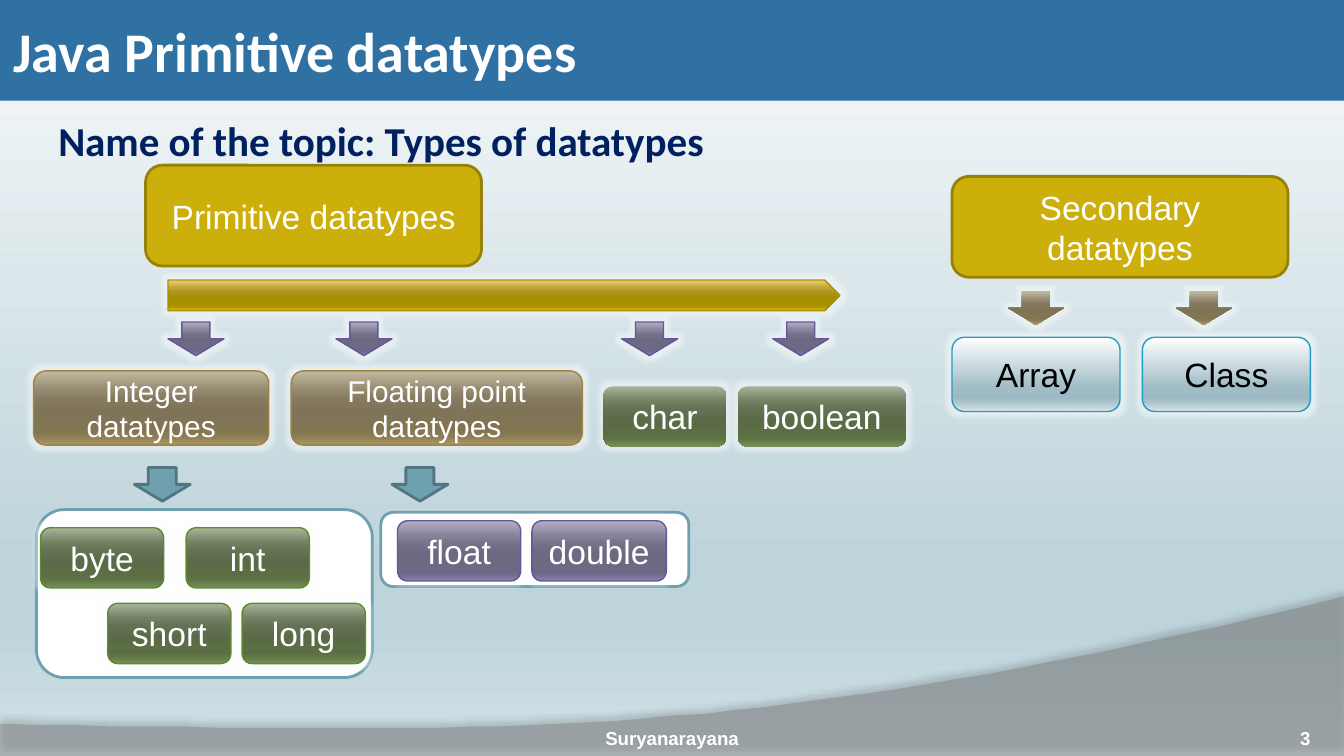
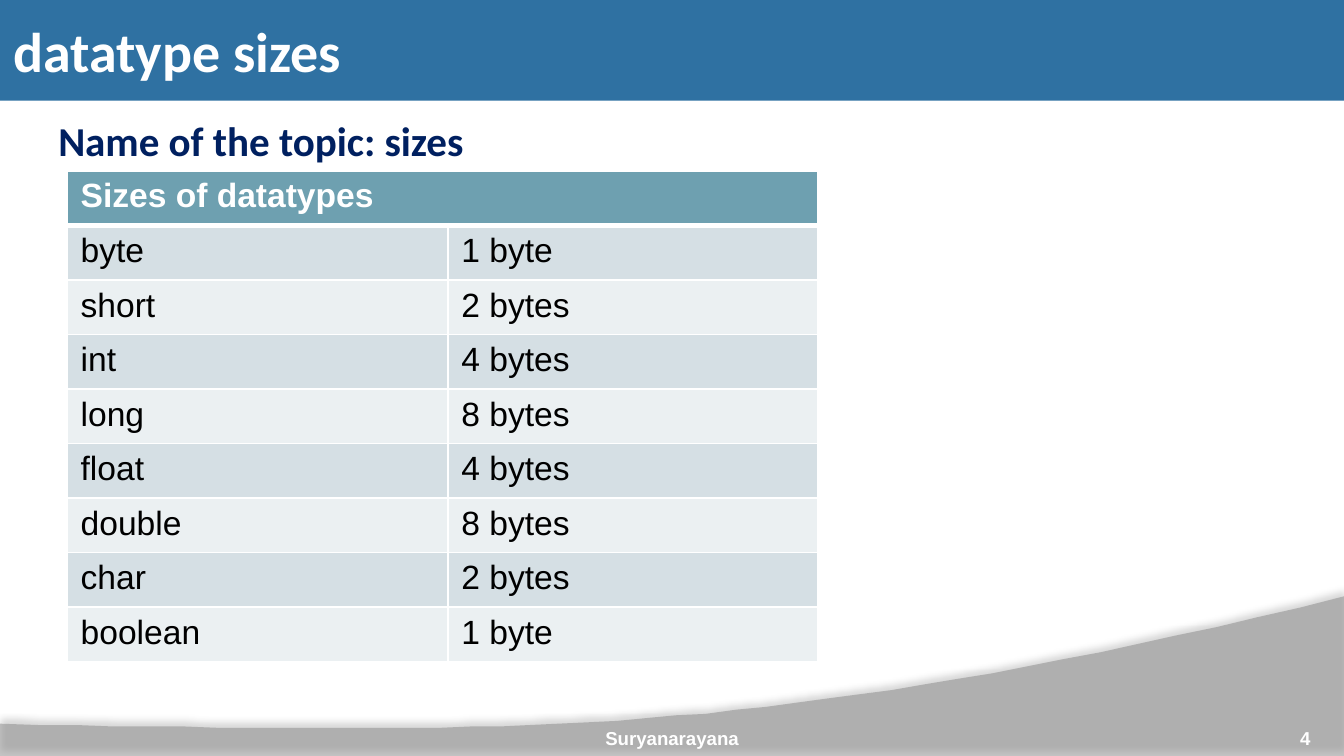
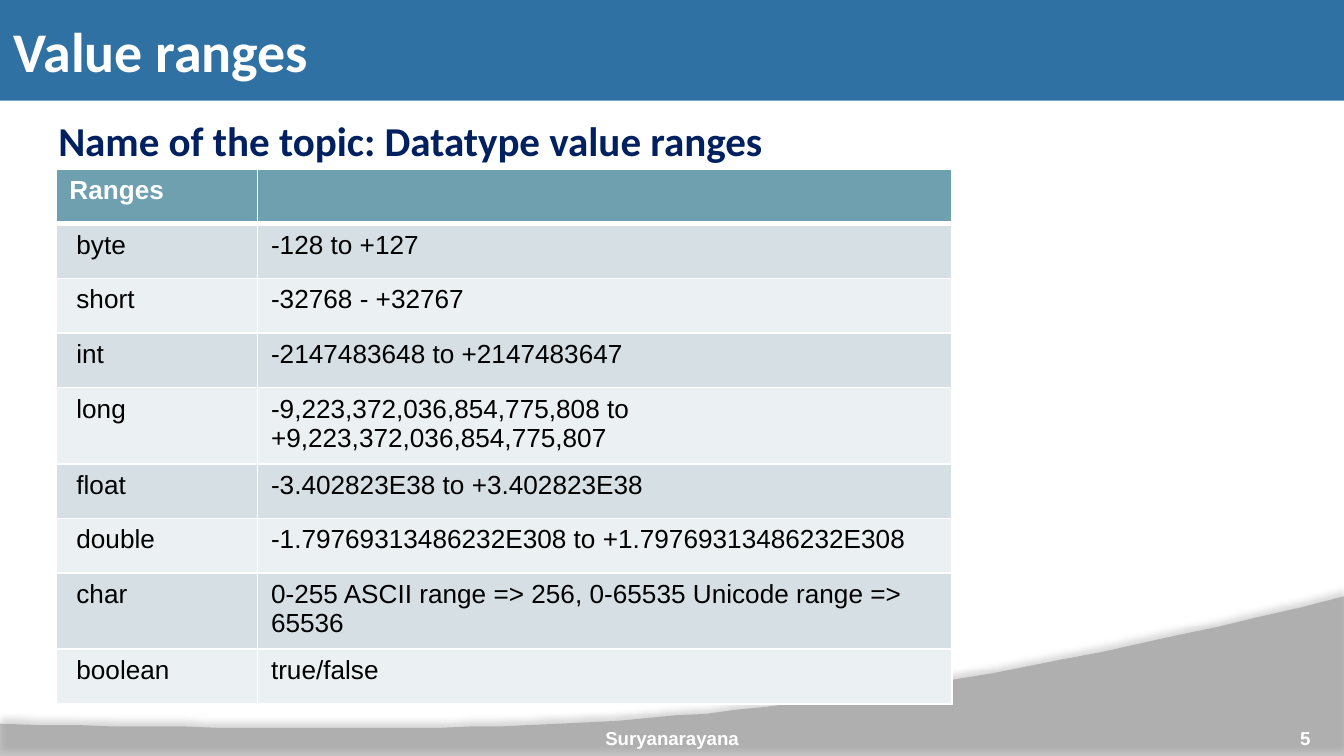
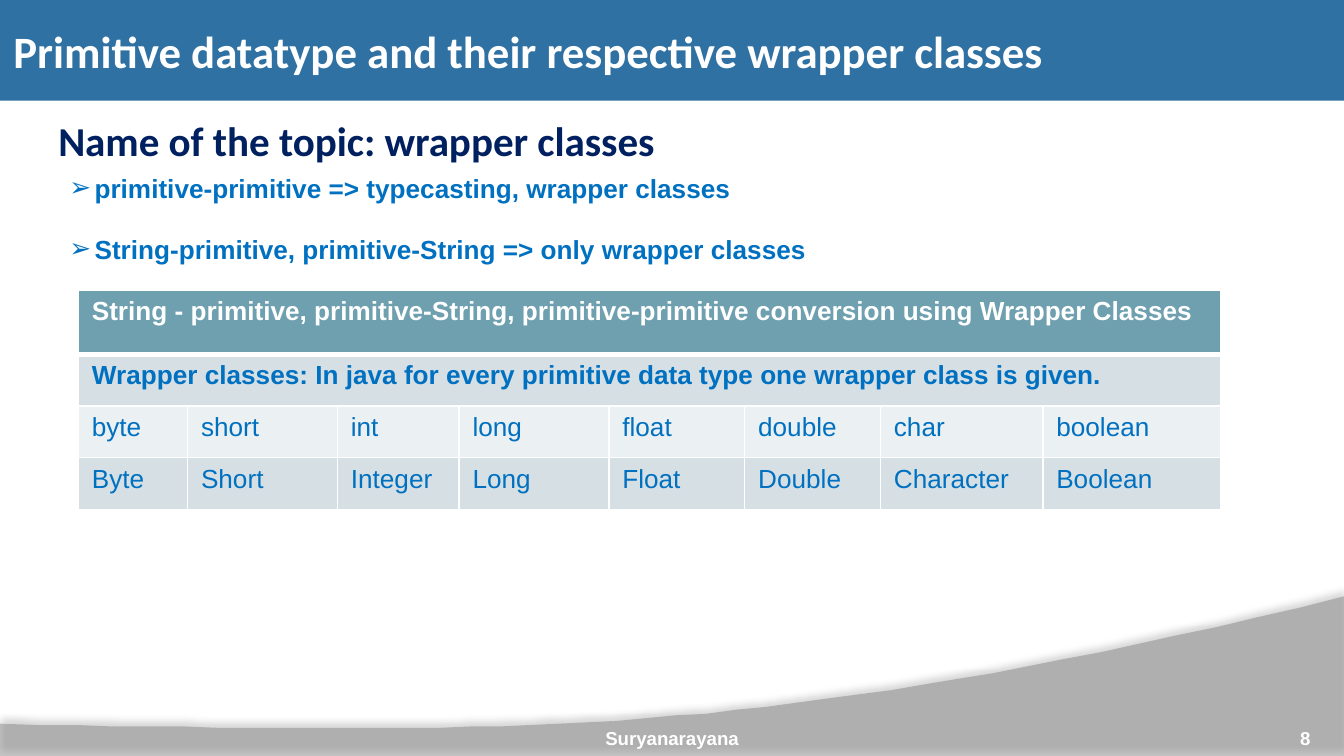
from lxml import etree
from pptx import Presentation, util as u
from pptx.dml.color import RGBColor
from pptx.enum import shapes, text
from pptx.oxml.ns import qn

PX = 9525
WIDTH, HEIGHT = 960, 540
WHITE = RGBColor(0xFF, 0xFF, 0xFF)
BLACK = RGBColor(0x00, 0x00, 0x00)
BAND_BLUE = RGBColor(0x2F, 0x71, 0xA2)
NAVY = RGBColor(0x00, 0x20, 0x60)
LINK_BLUE = RGBColor(0x00, 0x70, 0xC0)
WAVE_GRAY = RGBColor(0x7F, 0x7F, 0x7F)
TEAL = RGBColor(0x6E, 0xA0, 0xB0)
TEAL_EDGE = RGBColor(0x51, 0x76, 0x82)
ROW_DARK = RGBColor(0xD5, 0xDF, 0xE4)
ROW_LIGHT = RGBColor(0xEB, 0xF0, 0xF2)
GOLD = RGBColor(0xCC, 0xAF, 0x0A)
GOLD_EDGE = RGBColor(0x97, 0x81, 0x07)
TAN_EDGE = RGBColor(0xA1, 0x84, 0x3A)
PURPLE_EDGE = RGBColor(0x62, 0x58, 0x99)
GREEN_EDGE = RGBColor(0x5F, 0x88, 0x2F)
AMBER_EDGE = RGBColor(0xAB, 0x92, 0x00)
ICE_EDGE = RGBColor(0x23, 0x9B, 0xC2)
GLOSS = (0, 25, 38, 55, 80, 88, 100)
SKY, TAN, PURPLE, GREEN, AMBER, ICE = [
    [(place, RGBColor.from_string(code)) for place, code in zip(places, codes.split())]
    for places, codes in (
        ((0, 74, 83, 100), "F8FAFB BED4DB BED4DB D3E2E7"),
        (GLOSS, "C4BAA3 958B71 857A60 7F7457 827552 8C7C54 AA9868"),
        (GLOSS, "B3B0C6 86829A 747188 6D6983 6A6684 6F698D 8982AC"),
        (GLOSS, "A9B59D 728062 647254 5B6B48 5B6E44 607645 769058"),
        (GLOSS, "EED27E BFA536 AF9527 A88F00 A68D00 AF9500 E6C100"),
        ((0, 68, 81, 86, 100), "FEFEFE A0BCC6 9CB9C4 A7C0C9 DAE4E7"),
    )
]


def write(frame, words, size, color, bold=False, font="Arial", align=text.PP_ALIGN.LEFT,
          before=0, bullet=None, indent=0):
    para = frame.paragraphs[0] if not frame.text else frame.add_paragraph()
    if bullet is not None:
        props = para._p.get_or_add_pPr()
        props.set("marL", str(indent * PX))
        props.set("indent", str(-indent * PX))
        if bullet:
            etree.SubElement(props, qn("a:buChar"), char=bullet)
        else:
            etree.SubElement(props, qn("a:buNone"))
    para.alignment = align
    para.space_before = u.Pt(before)
    span = para.add_run()
    span.text = words
    span.font.size, span.font.bold, span.font.name = u.Pt(size), bold, font
    span.font.color.rgb = color


def shade(fill, element, stops):
    fill.gradient()
    fill.gradient_angle = 270
    stop_list = element.find(".//" + qn("a:gsLst"))
    for stop in list(stop_list):
        stop_list.remove(stop)
    for place, color in stops:
        stop = etree.SubElement(stop_list, qn("a:gs"), pos=str(place * 1000))
        etree.SubElement(stop, qn("a:srgbClr"), val=str(color))


deck = Presentation()
deck.slide_width, deck.slide_height = WIDTH * PX, HEIGHT * PX
layout = deck.slide_layouts[3]

pages = []
for number, title, title_size, topic in (
    (3, "Java Primitive datatypes", 30, "Types of datatypes"),
    (4, "datatype sizes", 30, "sizes"),
    (5, "Value ranges", 30, "Datatype value ranges"),
    (8, "Primitive datatype and their respective wrapper classes", 24, "wrapper classes"),
):
    page = deck.slides.add_slide(layout)
    pages.append(page)
    for index, place in enumerate(((0, 0, WIDTH, 72), (32, 78, 864, 45), (40, 118, 896, 78))):
        holder = page.placeholders[index]
        holder.left, holder.top, holder.width, holder.height = [n * PX for n in place]
        holder.text_frame.word_wrap = True
        holder.text_frame.auto_size = text.MSO_AUTO_SIZE.NONE
    band = page.shapes.title
    band.fill.solid()
    band.fill.fore_color.rgb = BAND_BLUE
    band.text_frame.vertical_anchor = text.MSO_ANCHOR.MIDDLE
    write(band.text_frame, title, title_size, WHITE, bold=True, font="Calibri")
    write(page.placeholders[1].text_frame, "Name of the topic: " + topic, 22, NAVY, bold=True,
          font="Calibri", align=text.PP_ALIGN.JUSTIFY, bullet="")
    for words, left, width, align in (
        (str(number), 856, 80, text.PP_ALIGN.RIGHT),
        ("Suryanarayana", 328, 304, text.PP_ALIGN.CENTER),
    ):
        box = page.shapes.add_textbox(left * PX, 506 * PX, width * PX, 29 * PX)
        frame = box.text_frame
        frame.word_wrap = True
        frame.vertical_anchor = text.MSO_ANCHOR.BOTTOM
        frame.margin_left = frame.margin_top = frame.margin_right = frame.margin_bottom = 0
        write(frame, words, 10, WHITE, bold=True, align=align)

types_page, sizes_page, ranges_page, wrappers_page = pages

curve = ((960, 426), (537, 530), (375, 524), (0, 517))
steps = 40
points = []
for step in range(steps + 1):
    t = step / steps
    weights = ((1 - t) ** 3, 3 * t * (1 - t) ** 2, 3 * t * t * (1 - t), t ** 3)
    points.append([sum(w * p[axis] for w, p in zip(weights, curve)) for axis in (0, 1)])
outline = types_page.shapes.build_freeform(0, HEIGHT, scale=PX)
outline.add_line_segments([(WIDTH, HEIGHT)] + points, close=True)
wave = outline.convert_to_shape()
wave.fill.solid()
wave.fill.fore_color.rgb = WAVE_GRAY
wave.line.fill.background()
wave.shadow.inherit = False
etree.SubElement(wave.element.spPr.find(".//" + qn("a:srgbClr")), qn("a:alpha"), val="45000")
shadow = etree.SubElement(wave.element.spPr.find(qn("a:effectLst")), qn("a:outerShdw"),
                          blurRad="50800", dist="44450", dir="16200000", rotWithShape="0")
shadow_color = etree.SubElement(shadow, qn("a:srgbClr"), val=str(BLACK))
etree.SubElement(shadow_color, qn("a:alpha"), val="35000")
layout.shapes.element.insert(2, wave.element)

shade(types_page.background.fill, types_page.element, SKY)
ROUND = shapes.MSO_SHAPE.ROUNDED_RECTANGLE
DOWN = shapes.MSO_SHAPE.DOWN_ARROW
PENTAGON = shapes.MSO_SHAPE.PENTAGON
main_blocks = [
    (ROUND, (104, 118, 240, 72), GOLD, GOLD_EDGE, "Primitive datatypes", 18),
    (ROUND, (24, 265, 168, 53), TAN, TAN_EDGE, "Integer datatypes", 16),
    (ROUND, (208, 265, 208, 53), TAN, TAN_EDGE, "Floating point datatypes", 16),
    *[(DOWN, (left, 230, 40, 24), PURPLE, PURPLE_EDGE, "", 0) for left in (120, 240, 444, 552)],
    *[(DOWN, (left, 334, 40, 24), TEAL, TEAL_EDGE, "", 0) for left in (96, 280)],
    (ROUND, (272, 366, 220, 53), WHITE, TEAL, "", 0),
    (ROUND, (284, 372, 88, 43), PURPLE, PURPLE_EDGE, "float", 18),
    (ROUND, (380, 372, 96, 43), PURPLE, PURPLE_EDGE, "double", 18),
    (ROUND, (431, 276, 88, 43), GREEN, None, "char", 18),
    (ROUND, (527, 276, 120, 43), GREEN, None, "boolean", 18),
    (PENTAGON, (120, 200, 480, 22), AMBER, AMBER_EDGE, "", 0),
]
integer_blocks = [
    (ROUND, (26, 364, 240, 120), WHITE, TEAL, "", 0),
    *[(ROUND, (left, top, 88, 43), GREEN, GREEN_EDGE, name, 18) for name, left, top in (
        ("byte", 29, 377), ("short", 77, 431), ("int", 133, 377), ("long", 173, 431))],
]
secondary_blocks = [
    (ROUND, (680, 126, 240, 72), GOLD, GOLD_EDGE, "Secondary datatypes", 18),
    (ROUND, (680, 241, 120, 53), ICE, ICE_EDGE, "Array", 18),
    (ROUND, (816, 241, 120, 53), ICE, ICE_EDGE, "Class", 18),
    *[(DOWN, (left, 208, 40, 24), TAN, None, "", 0) for left in (720, 840)],
]
for container, blocks in (
    (types_page.shapes, main_blocks),
    (types_page.shapes.add_group_shape().shapes, integer_blocks),
    (types_page.shapes.add_group_shape().shapes, secondary_blocks),
):
    for kind, place, paint, edge, words, size in blocks:
        block = container.add_shape(kind, *[n * PX for n in place])
        glossy = isinstance(paint, list)
        block.shadow.inherit = False
        if glossy:
            shade(block.fill, block.element, paint)
            glow = etree.SubElement(block.element.spPr.find(qn("a:effectLst")), qn("a:glow"),
                                    rad="63500")
            glow_color = etree.SubElement(glow, qn("a:srgbClr"), val=str(WHITE))
            etree.SubElement(glow_color, qn("a:alpha"), val="45000")
        else:
            block.fill.solid()
            block.fill.fore_color.rgb = paint
        if edge is None:
            block.line.fill.background()
        else:
            block.line.color.rgb = edge
            block.line.width = u.Pt(0.75 if glossy else 1.5)
        if words:
            block.text_frame.word_wrap = True
            block.text_frame.vertical_anchor = text.MSO_ANCHOR.MIDDLE
            write(block.text_frame, words, size, BLACK if paint is ICE else WHITE,
                  align=text.PP_ALIGN.CENTER)

for order, words in enumerate((
    "primitive-primitive => typecasting, wrapper classes",
    "String-primitive, primitive-String => only wrapper classes",
)):
    write(wrappers_page.placeholders[2].text_frame, words, 14, LINK_BLUE, bold=True,
          before=16 * order, bullet="➢", indent=18)
for page in pages[:3]:
    unused = page.placeholders[2].element
    unused.getparent().remove(unused)

size_rows = [
    ("Sizes of datatypes",), ("byte", "1 byte"), ("short", "2 bytes"), ("int", "4 bytes"),
    ("long", "8 bytes"), ("float", "4 bytes"), ("double", "8 bytes"), ("char", "2 bytes"),
    ("boolean", "1 byte"),
]
range_rows = [
    ("Ranges", ""),
    ("byte", "-128 to +127"),
    ("short", "-32768 - +32767"),
    ("int", "-2147483648 to +2147483647"),
    ("long", "-9,223,372,036,854,775,808 to +9,223,372,036,854,775,807"),
    ("float", "-3.402823E38 to +3.402823E38"),
    ("double", "-1.79769313486232E308 to +1.79769313486232E308"),
    ("char", "0-255 ASCII range => 256, 0-65535 Unicode range => 65536"),
    ("boolean", "true/false"),
]
wrapper_rows = [
    ("String - primitive, primitive-String, primitive-primitive conversion using Wrapper Classes",),
    ("Wrapper classes: In java for every primitive data type one wrapper class is given.",),
    ("byte", "short", "int", "long", "float", "double", "char", "boolean"),
    ("Byte", "Short", "Integer", "Long", "Float", "Double", "Character", "Boolean"),
]
for page, left, top, widths, heights, rows, size, ink, name_indent in (
    (sizes_page, 48, 122, (272, 264), [39] * 9, size_rows, 18, BLACK, 0),
    (ranges_page, 40, 121, (144, 496), [39] * 9, range_rows, 14, BLACK, 5),
    (wrappers_page, 56, 207, (78, 107, 87, 107, 97, 97, 116, 127), [46, 37, 37, 37],
     wrapper_rows, 14, LINK_BLUE, 0),
):
    table = page.shapes.add_table(len(rows), len(widths), left * PX, top * PX,
                                  sum(widths) * PX, sum(heights) * PX).table
    for column, width in zip(table.columns, widths):
        column.width = width * PX
    for r, (values, height) in enumerate(zip(rows, heights)):
        table.rows[r].height = height * PX
        for c in range(len(widths)):
            cell = table.cell(r, c)
            props = cell._tc.get_or_add_tcPr()
            for side in ("lnL", "lnR", "lnT", "lnB"):
                under_header = (r, side) in ((0, "lnB"), (1, "lnT"))
                border = etree.SubElement(props, qn("a:" + side),
                                          w=str(u.Pt(3 if under_header else 1)))
                border_fill = etree.SubElement(border, qn("a:solidFill"))
                etree.SubElement(border_fill, qn("a:srgbClr"), val=str(WHITE))
            cell.fill.solid()
            cell.fill.fore_color.rgb = TEAL if r == 0 else ROW_DARK if r % 2 else ROW_LIGHT
            if r and c == 0 and name_indent:
                cell.margin_left = u.Inches(0.1) + name_indent * PX
        if len(values) == 1:
            table.cell(r, 0).merge(table.cell(r, len(widths) - 1))
        for c, value in enumerate(values):
            if value:
                write(table.cell(r, c).text_frame, value, size, ink if r else WHITE,
                      bold=r == 0 or len(values) == 1)

deck.save("out.pptx")
